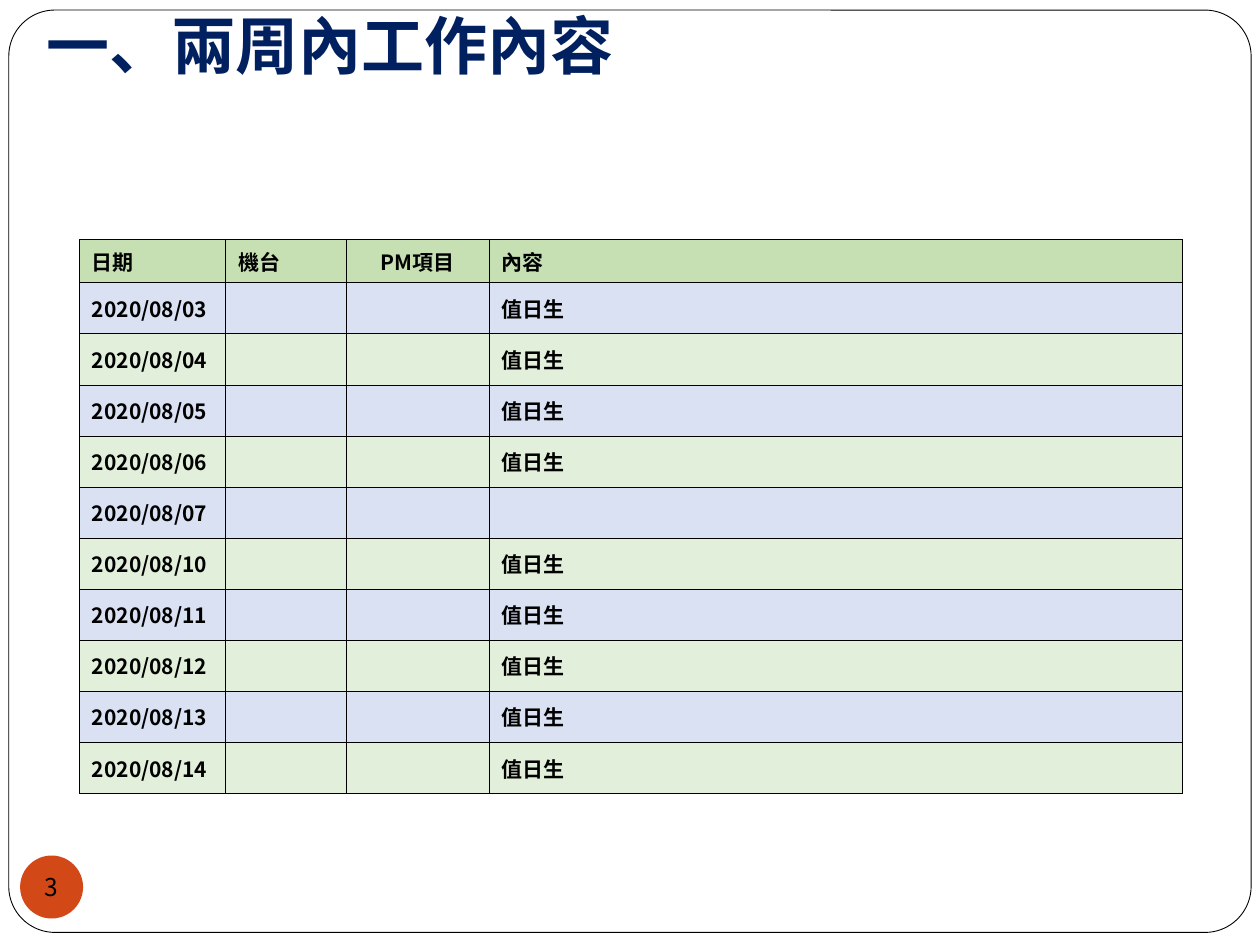
from lxml.etree import SubElement
from pptx import Presentation
from pptx.dml.color import RGBColor as RGB
from pptx.enum.shapes import MSO_SHAPE as Shape
from pptx.enum.text import MSO_ANCHOR as Anchor, MSO_AUTO_SIZE as Fit, PP_ALIGN as Align
from pptx.oxml.ns import qn
from pptx.util import Inches, Pt

FACE = "Noto Sans CJK SC"
HUES = {"ink": "000000", "paper": "FFFFFF", "navy": "002060", "badge": "D34817",
        "head": "C6E0B4", "odd": "D9E1F2", "even": "E2EFDA"}
HEADS = ["日期", "機台", "PM項目", "內容"]
DAYS = [3, 4, 5, 6, 7, 10, 11, 12, 13, 14]
FREE = 7
COLS = [1.16, 0.96, 1.13, 5.5]


def hue(name):
    """Return the named colour."""
    return RGB.from_string(HUES[name])


def style(para, size, bold=False, ink="ink", align=Align.LEFT):
    """Set the font and alignment of a paragraph."""
    para.alignment = align
    font = para.font
    font.size, font.bold, font.name = Pt(size), bold, FACE
    font.color.rgb = hue(ink)
    SubElement(para._p.pPr.find(qn("a:defRPr")), qn("a:ea"), typeface=FACE)


def add_frame(slide, x, y, w, h):
    """Draw the rounded page border behind everything else."""
    frame = slide.shapes.add_shape(Shape.ROUNDED_RECTANGLE, x, y, w, h)
    frame.adjustments[0] = 0.05
    frame.shadow.inherit = False
    frame.fill.solid()
    frame.fill.fore_color.rgb = hue("paper")
    frame.line.color.rgb = hue("ink")
    frame.line.width = Pt(0.5)
    slide.shapes._spTree.insert(2, frame._element)


def add_title(slide, x, y, w, h):
    """Place and format the title."""
    title = slide.shapes.title
    title.left, title.top, title.width, title.height = x, y, w, h
    text = title.text_frame
    text.text = "一、兩周內工作內容"
    text.auto_size = Fit.NONE
    text.vertical_anchor = Anchor.MIDDLE
    style(text.paragraphs[0], 36, True, "navy")


def add_badge(slide, x, y, size):
    """Draw the page number in its disc."""
    disc = slide.shapes.add_shape(Shape.OVAL, x, y, size, size)
    disc.shadow.inherit = False
    disc.fill.solid()
    disc.fill.fore_color.rgb = hue("badge")
    disc.line.fill.background()
    text = disc.text_frame
    text.text = "3"
    text.word_wrap = False
    text.vertical_anchor = Anchor.MIDDLE
    text.margin_left = text.margin_right = text.margin_top = text.margin_bottom = 0
    style(text.paragraphs[0], 14, align=Align.CENTER)


def add_edges(cell):
    """Give a cell thin lines on all four sides."""
    props = cell._tc.get_or_add_tcPr()
    for side in ("lnL", "lnR", "lnT", "lnB"):
        line = SubElement(props, qn(f"a:{side}"), w=str(Pt(0.23)))
        fill = SubElement(line, qn("a:solidFill"))
        SubElement(fill, qn("a:srgbClr"), val=HUES["ink"])


def add_plan(slide, x, y, w, row):
    """Build the duty table, one row for each working day."""
    rows = [HEADS] + [[f"2020/08/{day:02}", "", "", "" if day == FREE else "值日生"]
                      for day in DAYS]
    table = slide.shapes.add_table(len(rows), len(COLS), x, y, w, row * len(rows)).table
    table.first_row = table.horz_banding = False
    for col, wide in zip(table.columns, COLS):
        col.width = Inches(wide)
    for r, words in enumerate(rows):
        tint = "head" if r == 0 else "odd" if r % 2 else "even"
        for c, word in enumerate(words):
            cell = table.cell(r, c)
            add_edges(cell)
            cell.fill.solid()
            cell.fill.fore_color.rgb = hue(tint)
            cell.vertical_anchor = Anchor.MIDDLE
            if word:
                cell.text = word
                align = Align.CENTER if c == 2 else Align.LEFT
                style(cell.text_frame.paragraphs[0], 12, True, align=align)


def main():
    """Build and save the slide."""
    deck = Presentation()
    deck.slide_width, deck.slide_height = Inches(10), Inches(7.5)
    slide = deck.slides.add_slide(deck.slide_layouts[5])
    add_frame(slide, Inches(0.07), Inches(0.08), Inches(9.86), Inches(7.32))
    add_badge(slide, Inches(0.16), Inches(6.79), Inches(0.5))
    add_plan(slide, Inches(0.63), Inches(1.9), Inches(sum(COLS)), Inches(0.34))
    add_title(slide, Inches(0.27), Inches(0), Inches(4.73), Inches(0.7))
    deck.save("out.pptx")


if __name__ == "__main__":
    main()
